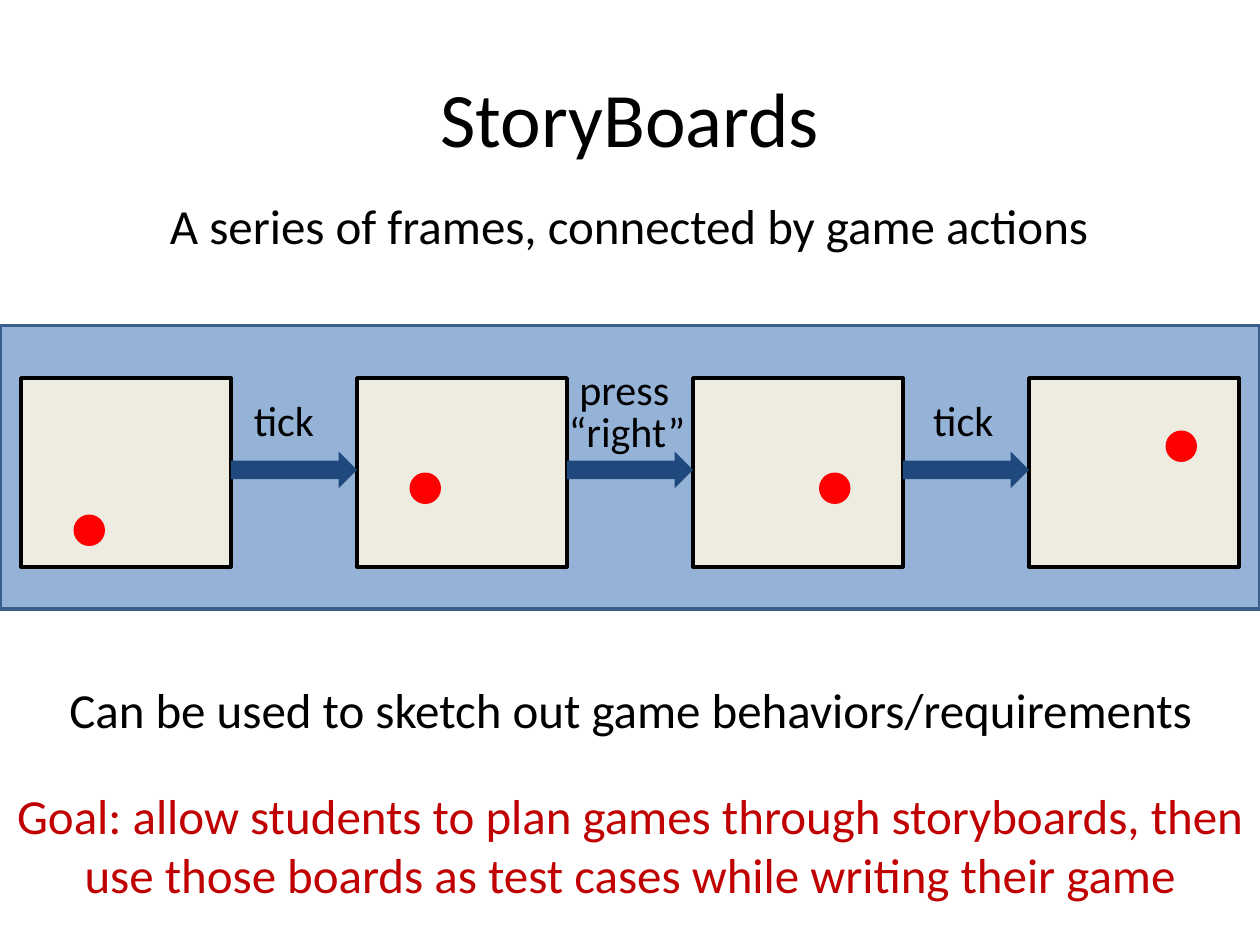
from pptx import Presentation
from pptx.dml.color import RGBColor
from pptx.enum.shapes import MSO_SHAPE as Shape
from pptx.enum.text import MSO_ANCHOR as Anchor, PP_ALIGN as Align
from pptx.util import Inches, Pt

COLORS = {
    "band": "95B3D7", "band_line": "3A5F8C", "frame": "EEECE1",
    "arrow": "1F497D", "ball": "FF0000", "text": "000000", "goal": "C00000",
}
COLS, ROWS = 120, 90

prs = Presentation()
prs.slide_width, prs.slide_height = Inches(10), Inches(7.5)
col, row = prs.slide_width / COLS, prs.slide_height / ROWS
s = prs.slides.add_slide(prs.slide_layouts[6])


def add_shape(kind, x, y, w, h, fill, line=None):
    sp = s.shapes.add_shape(kind, int(x * col), int(y * row), int(w * col), int(h * row))
    sp.shadow.inherit = False
    sp.fill.solid()
    sp.fill.fore_color.rgb = RGBColor.from_string(COLORS[fill])
    if line:
        sp.line.color.rgb = RGBColor.from_string(COLORS[line])
        sp.line.width = Pt(2)
    else:
        sp.line.fill.background()


def add_text(text, x, y, w, h, size=28, color="text", align=Align.CENTER,
             anchor=Anchor.TOP, wrap=False):
    sp = s.shapes.add_textbox(int(x * col), int(y * row), int(w * col), int(h * row))
    tf = sp.text_frame
    tf.word_wrap = wrap
    tf.vertical_anchor = anchor
    p = tf.paragraphs[0]
    p.alignment = align
    r = p.add_run()
    r.text = text
    r.font.name = "Calibri"
    r.font.size = Pt(size)
    r.font.color.rgb = RGBColor.from_string(COLORS[color])


add_text("StoryBoards", 6, 3.6, 108, 15, size=44, anchor=Anchor.MIDDLE, wrap=True)

add_shape(Shape.RECTANGLE, 0, 31, COLS, 27, "band", "band_line")

frame_w, arrow_w, left = 20, 12, 2
step = frame_w + arrow_w
balls = [(5, 13), (5, 9), (12, 9), (13, 5)]
for i in range(len(balls)):
    add_shape(Shape.RECTANGLE, left + i * step, 36, frame_w, 18, "frame", "text")
for i in range(len(balls) - 1):
    add_shape(Shape.RIGHT_ARROW, left + frame_w + i * step, 43, arrow_w, 3.5, "arrow")
for i, (dx, dy) in enumerate(balls):
    add_shape(Shape.OVAL, left + i * step + dx, 36 + dy, 3, 3, "ball")

for text, x, y, w in [("tick", 23, 37, 8.3), ("tick", 87.7, 37, 8.3),
                      ("“right”", 53, 38, 13.6), ("press", 54, 34, 11)]:
    add_text(text, x, y, w, 6, size=24, align=Align.LEFT)

add_text("A series of frames, connected by game actions", 13.8, 18, 92.2, 6.9)
add_text("Can be used to sketch out game behaviors/requirements", 4.8, 64.1, 110.5, 6.9)
add_text("Goal: allow students to plan games through storyboards, then use those "
         "boards as test cases while writing their game",
         0, 74.2, COLS, 12.8, color="goal", wrap=True)

prs.save("out.pptx")
